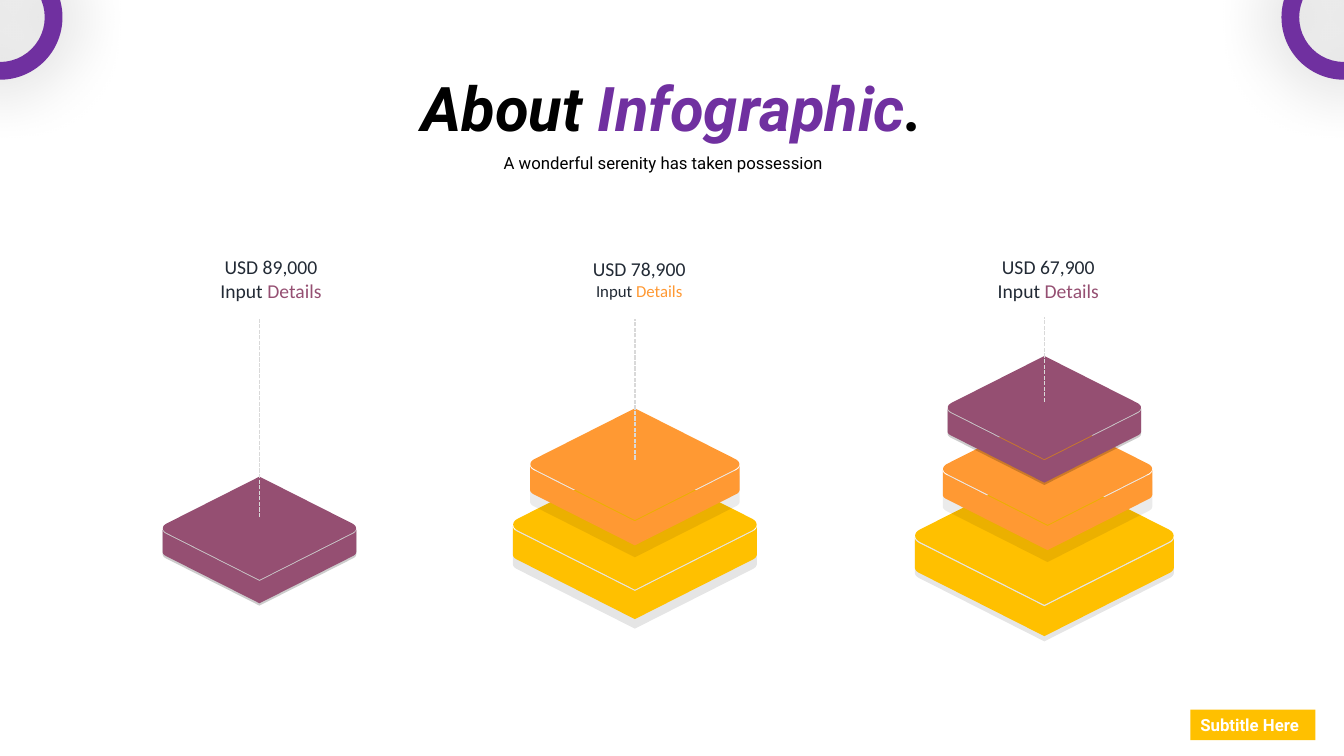
from dataclasses import dataclass

import lxml.etree
import pptx
import pptx.dml.color
import pptx.enum.dml
import pptx.enum.shapes
import pptx.enum.text
import pptx.oxml
import pptx.oxml.ns
import pptx.util

Cm = pptx.util.Cm
Align = pptx.enum.text.PP_ALIGN
Anchor = pptx.enum.text.MSO_ANCHOR
Preset = pptx.enum.shapes.MSO_SHAPE
Point = tuple[float, float]


@dataclass(frozen=True)
class Theme:
    violet: str = "7030A0"
    plum: str = "954F72"
    orange: str = "FF9933"
    amber: str = "FFC000"
    ink: str = "222A35"
    black: str = "000000"
    white: str = "FFFFFF"
    guide: str = "D9D9D9"
    heading_font: str = "Roboto"
    label_font: str = "Calibri"
    title_size: int = 44
    label_size: int = 14
    small_size: int = 12


THEME = Theme()


@dataclass(frozen=True)
class Slab:
    """Lengths in cm; shade is the shadow's opacity in percent."""
    center: float
    top: float
    width: float
    color: str
    drop: float
    shade: int


@dataclass(frozen=True)
class Tower:
    slabs: tuple[Slab, ...]
    guide_x: float
    guide_top: float
    guide_bottom: float
    amount: str
    accent: str
    label_center: float
    label_top: float
    detail_size: int


TOWERS = (
    Tower((Slab(6.54, 12.01, 4.88, THEME.plum, 0.06, 20),),
          6.54, 8.05, 13.03, "USD 89,000", THEME.plum, 6.83, 6.3, THEME.label_size),
    Tower((Slab(16.0, 11.58, 6.15, THEME.amber, 0.24, 10),
           Slab(16.0, 10.29, 5.28, THEME.orange, 0.3, 8)),
          16.0, 8.05, 11.58, "USD 78,900", THEME.orange, 16.11, 6.35, THEME.small_size),
    Tower((Slab(26.32, 11.76, 6.53, THEME.amber, 0.13, 10),
           Slab(26.4, 10.41, 5.28, THEME.orange, 0.3, 8),
           Slab(26.32, 8.97, 4.88, THEME.plum, 0.06, 20)),
          26.32, 7.98, 10.13, "USD 67,900", THEME.plum, 26.42, 6.3, THEME.label_size),
)

# Slab proportions, as parts of the slab's width
FACE_HEIGHT, SEAM, WALL, CORNER_X = 0.533, 0.006, 0.115, 0.48


def rgb(color: str) -> pptx.dml.color.RGBColor:
    return pptx.dml.color.RGBColor.from_string(color)


def add_text(paragraph, text: str, *, size: int, color: str, font: str,
             bold: bool = False, italic: bool = False) -> None:
    run = paragraph.add_run()
    run.text = text
    run.font.size = pptx.util.Pt(size)
    run.font.name = font
    run.font.bold = bold
    run.font.italic = italic
    run.font.color.rgb = rgb(color)


def add_box(slide, left: float, top: float, width: float, height: float, wrap: bool = True):
    frame = slide.shapes.add_textbox(Cm(left), Cm(top), Cm(width), Cm(height)).text_frame
    frame.word_wrap = wrap
    frame.paragraphs[0].alignment = Align.CENTER
    return frame


def paint(shape, color: str, opacity: int = 100) -> None:
    shape.shadow.inherit = False
    shape.line.fill.background()
    shape.fill.solid()
    shape.fill.fore_color.rgb = rgb(color)
    if opacity < 100:
        tint = shape.fill._xPr.find(".//" + pptx.oxml.ns.qn("a:srgbClr"))
        lxml.etree.SubElement(tint, pptx.oxml.ns.qn("a:alpha"), val=str(opacity * 1000))


def curve(controls: list[Point], steps: int = 8) -> list[Point]:
    """Sample a Bezier curve by repeated interpolation."""
    samples = []
    for step in range(steps + 1):
        t, level = step / steps, controls
        while len(level) > 1:
            level = [(a[0] + (b[0] - a[0]) * t, a[1] + (b[1] - a[1]) * t)
                     for a, b in zip(level, level[1:])]
        samples.append(level[0])
    return samples


def mirror(points: list[Point]) -> list[Point]:
    return [(-x, y) for x, y in reversed(points)]


def add_outline(slide, slab: Slab, points: list[Point], color: str,
                drop: float = 0, opacity: int = 100) -> None:
    placed = [(Cm(slab.center + x * slab.width), Cm(slab.top + drop + y * slab.width))
              for x, y in points]
    builder = slide.shapes.build_freeform(*placed[0], scale=1.0)
    builder.add_line_segments(placed[1:], close=True)
    paint(builder.convert_to_shape(), color, opacity)


def add_slab(slide, slab: Slab) -> None:
    middle = FACE_HEIGHT / 2
    right_corner = curve([(CORNER_X, middle - 0.024), (0.505, middle - 0.011),
                          (0.505, middle + 0.011), (CORNER_X, middle + 0.024)])
    face = [(0, 0), *right_corner, (0, FACE_HEIGHT), *mirror(right_corner)]

    rim = middle + SEAM
    left_bend = curve([(-0.5, rim), (-0.5, rim + 0.015), (-CORNER_X, rim + 0.024)])
    upper_edge = [*left_bend, (0, FACE_HEIGHT + SEAM), *mirror(left_bend)]
    lower_edge = [(x, y + WALL) for x, y in reversed(upper_edge)]

    left_shoulder = curve([(-0.5, rim), (-0.5, middle - 0.015), (-CORNER_X, middle - 0.024)])
    silhouette = [*left_shoulder, (0, 0), *mirror(left_shoulder), *lower_edge]

    add_outline(slide, slab, silhouette, THEME.black, slab.drop, slab.shade)
    add_outline(slide, slab, face, slab.color)
    add_outline(slide, slab, upper_edge + lower_edge, slab.color)


def add_guide(slide, tower: Tower) -> None:
    guide = slide.shapes.add_connector(
        pptx.enum.shapes.MSO_CONNECTOR.STRAIGHT, Cm(tower.guide_x), Cm(tower.guide_bottom),
        Cm(tower.guide_x), Cm(tower.guide_top))
    guide.line.color.rgb = rgb(THEME.guide)
    guide.line.width = pptx.util.Pt(1)
    guide.line.dash_style = pptx.enum.dml.MSO_LINE.SQUARE_DOT
    lxml.etree.SubElement(guide._element.spPr, pptx.oxml.ns.qn("a:effectLst"))


def add_label(slide, tower: Tower) -> None:
    width = 3.1
    label = add_box(slide, tower.label_center - width / 2, tower.label_top, width, 1.45, wrap=False)
    add_text(label.paragraphs[0], tower.amount, size=THEME.label_size,
             color=THEME.ink, font=THEME.label_font)
    detail = label.add_paragraph()
    detail.alignment = Align.CENTER
    for text, color in (("Input ", THEME.ink), ("Details", tower.accent)):
        add_text(detail, text, size=tower.detail_size, color=color, font=THEME.label_font)


def add_ring(slide, center: float) -> None:
    size = 3.15
    ring = slide.shapes.add_shape(Preset.DONUT, Cm(center - size / 2), Cm(-1.14), Cm(size), Cm(size))
    ring.adjustments[0] = 0.142
    paint(ring, THEME.violet)
    glow = pptx.oxml.parse_xml(
        f'<a:outerShdw {pptx.oxml.ns.nsdecls("a")} blurRad="{pptx.util.Pt(49)}" dist="0" '
        f'algn="ctr" rotWithShape="0"><a:srgbClr val="{THEME.black}">'
        '<a:alpha val="33000"/></a:srgbClr></a:outerShdw>')
    ring._element.spPr.find(pptx.oxml.ns.qn("a:effectLst")).append(glow)


deck = pptx.Presentation()
deck.slide_width, deck.slide_height = Cm(33.87), Cm(19.05)
slide = deck.slides.add_slide(deck.slide_layouts[6])

# Towers of slabs, then their guides and labels
for tower in TOWERS:
    for slab in tower.slabs:
        add_slab(slide, slab)
for tower in TOWERS:
    add_guide(slide, tower)
    add_label(slide, tower)

# Heading
title = add_box(slide, 6.02, 1.63, 21.84, 2.13).paragraphs[0]
for text, color in (("About ", THEME.black), ("Infographic", THEME.violet), (".", THEME.black)):
    add_text(title, text, size=THEME.title_size, color=color,
             font=THEME.heading_font, bold=True, italic=True)
subtitle = add_box(slide, 11.1, 3.48, 11.23, 0.94).paragraphs[0]
subtitle.line_spacing = 1.5
add_text(subtitle, "A wonderful serenity has taken possession", size=THEME.small_size,
         color=THEME.black, font=THEME.heading_font)

# Corner tag
tag = slide.shapes.add_shape(Preset.RECTANGLE, Cm(30), Cm(17.88), Cm(3.15), Cm(0.77))
paint(tag, THEME.amber)
tag.text_frame.word_wrap = False
tag.text_frame.vertical_anchor = Anchor.MIDDLE
tag.text_frame.paragraphs[0].alignment = Align.LEFT
add_text(tag.text_frame.paragraphs[0], "Subtitle Here", size=THEME.small_size,
         color=THEME.white, font=THEME.heading_font, bold=True)

# Rings in the upper corners
for center in (0, 33.87):
    add_ring(slide, center)

deck.save("out.pptx")
